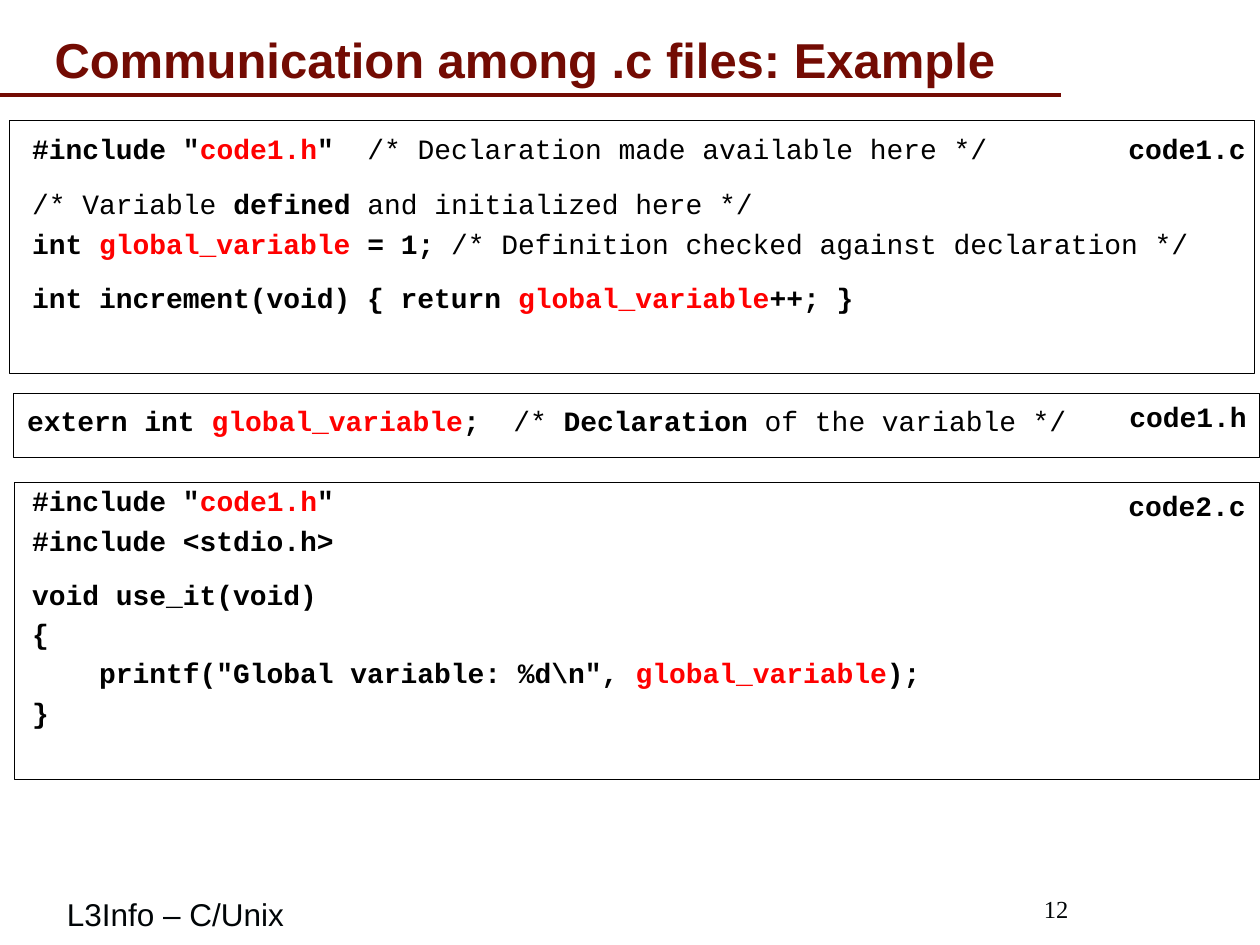
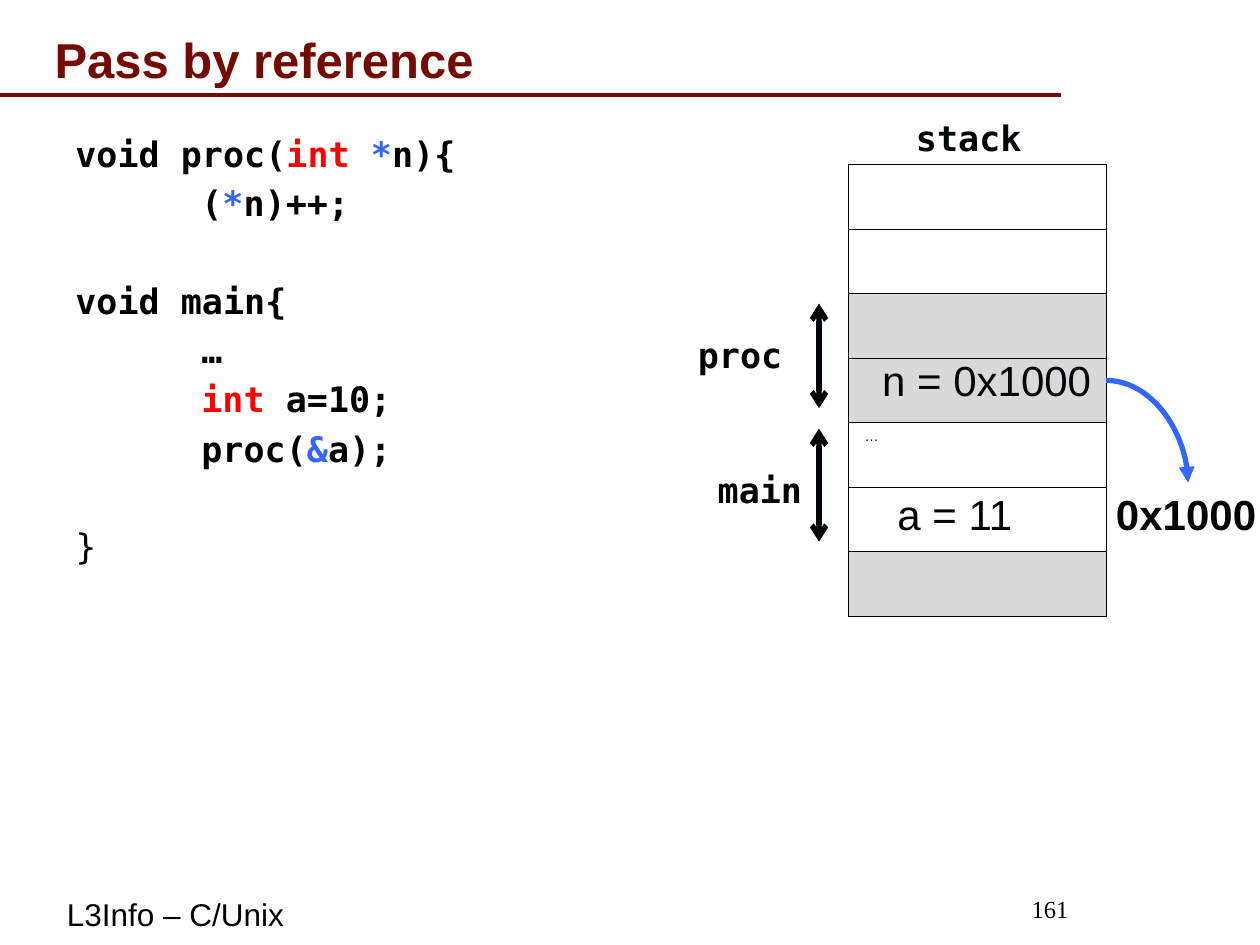
from lxml.etree import SubElement
from pptx import Presentation
from pptx.dml.color import RGBColor
from pptx.enum.shapes import MSO_CONNECTOR, MSO_SHAPE
from pptx.enum.text import MSO_ANCHOR, PP_ALIGN
from pptx.oxml.ns import qn
from pptx.util import Cm, Pt

MAROON = RGBColor(0x73, 0x0B, 0x03)
BLACK = RGBColor(0, 0, 0)
INK = RGBColor(0x01, 0x05, 0x07)
RED = RGBColor(0xFF, 0, 0)
BLUE = RGBColor(0x33, 0x66, 0xFF)
WHITE = RGBColor(0xFF, 0xFF, 0xFF)
GREY = RGBColor(0xD9, 0xD9, 0xD9)

SANS, SERIF = "Arial", "Times New Roman"
COURIER, DEJAVU = "Courier New", "DejaVu Sans Mono"

# Span styles: colour and bold
CODE = (BLACK, True)
NOTE = (BLACK, False)
HOT = (RED, True)
POINTER = (BLUE, True)


def text_frame(page, box, anchor=MSO_ANCHOR.TOP, label=False):
    """A label keeps to one line and has no side margins."""
    frame = page.shapes.add_textbox(*map(Cm, box)).text_frame
    frame.word_wrap = not label
    frame.vertical_anchor = anchor
    if label:
        frame.margin_left = frame.margin_right = 0
    return frame


def set_font(para, name, size, color, bold=False):
    font = para.font
    font.name, font.size, font.bold = name, Pt(size), bold
    font.color.rgb = color


def add_text(page, box, text, name, size, color, bold=False,
             align=PP_ALIGN.LEFT, anchor=MSO_ANCHOR.TOP, label=False):
    para = text_frame(page, box, anchor, label).paragraphs[0]
    para.text = text
    para.alignment = align
    set_font(para, name, size, color, bold)


def add_code(page, box, lines, name, size):
    """Each line is (space before in points, indent in cm, spans)."""
    frame = text_frame(page, box)
    for number, (gap, indent, spans) in enumerate(lines):
        para = frame.add_paragraph() if number else frame.paragraphs[0]
        para.space_before = Pt(gap)
        if indent:
            para._p.get_or_add_pPr().set("marL", str(Cm(indent)))
        base = spans[0][1]
        set_font(para, name, size, *base)
        for text, style in spans:
            span = para.add_run()
            span.text = text
            if style != base:
                span.font.color.rgb, span.font.bold = style


def add_line(page, start, end, color, width, kind=MSO_CONNECTOR.STRAIGHT,
             head=None, tail=None):
    line = page.shapes.add_connector(kind, *map(Cm, (*start, *end)))
    line.line.color.rgb = color
    line.line.width = Pt(width)
    properties = line._element.spPr
    outline = properties.find(qn("a:ln"))
    for tag, arrow in (("a:headEnd", head), ("a:tailEnd", tail)):
        if arrow:
            SubElement(outline, qn(tag), type=arrow)
    SubElement(properties, qn("a:effectLst"))
    return line


def new_page(deck, title, number):
    page = deck.slides.add_slide(deck.slide_layouts[6])
    add_line(page, (0, 1.91), (21.39, 1.91), MAROON, 2.25)
    add_text(page, (0.85, 0.43, 23.65, 1.47), title, SANS, 28, MAROON, True,
             anchor=MSO_ANCHOR.BOTTOM)
    add_text(page, (1.1, 17.78, 15.6, 1.27), "L3Info – C/Unix", SANS, 18, INK,
             anchor=MSO_ANCHOR.MIDDLE)
    add_text(page, (17.6, 17.78, 4.19, 1.07), number, SERIF, 14, INK,
             align=PP_ALIGN.RIGHT, anchor=MSO_ANCHOR.MIDDLE)
    return page


def code_panel(page, box, file_name, lines, text_offset, label_offset):
    left, top, width, height = box
    frame = page.shapes.add_shape(MSO_SHAPE.RECTANGLE, *map(Cm, box))
    frame.shadow.inherit = False
    frame.fill.background()
    frame.line.color.rgb = BLACK
    frame.line.width = Pt(0.5)
    across, down = text_offset
    add_code(page, (left + across, top + down, width - across, height - down),
             lines, COURIER, 16)
    across, down = label_offset
    add_text(page, (left + across, top + down, 2.5, 0.94), file_name,
             COURIER, 16, BLACK, True, label=True)


def communication_slide(deck):
    page = new_page(deck, "Communication among .c files: Example", "12")
    step, wide = 3.3, 11.6
    include = (0, 0, [('#include "', CODE), ("code1.h", HOT), ('"', CODE)])
    code_panel(page, (0.2, 2.43, 25.1, 5.11), "code1.c", [
        (0, 0, [*include[2], ("  /* Declaration made available here */", NOTE)]),
        (12.7, 0, [("/* Variable ", NOTE), ("defined", CODE),
                   (" and initialized here */", NOTE)]),
        (step, 0, [("int ", CODE), ("global_variable", HOT), (" = 1; ", CODE),
                   ("/* Definition checked against declaration */", NOTE)]),
        (wide, 0, [("int increment(void) { return ", CODE),
                   ("global_variable", HOT), ("++; }", CODE)]),
    ], (0.2, 0.09), (22.55, 0.09))
    code_panel(page, (0.27, 7.93, 25.13, 1.3), "code1.h", [
        (0, 0, [("extern int ", CODE), ("global_variable", HOT), (";  ", CODE),
                ("/* ", NOTE), ("Declaration", CODE),
                (" of the variable */", NOTE)]),
    ], (0.03, 0.08), (22.5, 0))
    code_panel(page, (0.3, 9.73, 25.1, 5.99), "code2.c", [
        include,
        (step, 0, [("#include <stdio.h>", CODE)]),
        (wide, 0, [("void use_it(void)", CODE)]),
        (step, 0, [("{", CODE)]),
        (step, 0, [('    printf("Global variable: %d\\n", ', CODE),
                   ("global_variable", HOT), (");", CODE)]),
        (step, 0, [("}", CODE)]),
    ], (0.1, -0.1), (22.45, 0))


def paint_cell(cell, color):
    cell.fill.solid()
    cell.fill.fore_color.rgb = color
    properties = cell._tc.get_or_add_tcPr()
    for place, side in enumerate(("a:lnL", "a:lnR", "a:lnT", "a:lnB")):
        border = SubElement(properties, qn(side), w=str(Pt(0.75)))
        fill = SubElement(border, qn("a:solidFill"))
        SubElement(fill, qn("a:srgbClr"), val=str(BLACK))
        properties.insert(place, border)


def stack_diagram(page, box):
    left, top, width, height = box
    fills = [WHITE, WHITE, GREY, GREY, WHITE, WHITE, GREY]
    table = page.shapes.add_table(len(fills), 1, *map(Cm, box)).table
    table.first_row = table.horz_banding = False
    for row, color in enumerate(fills):
        table.rows[row].height = Cm(height / len(fills))
        paint_cell(table.cell(row, 0), color)
    dots = table.cell(4, 0)
    dots.margin_left = Cm(0.33)
    dots.text = "…"
    set_font(dots.text_frame.paragraphs[0], SANS, 8, BLACK)

    labels = [
        ("stack", 1.11, -1.09, 2.64, DEJAVU, 20, True),
        ("proc", -3.3, 3.28, 2.24, DEJAVU, 20, True),
        ("main", -2.9, 6, 2.24, DEJAVU, 20, True),
        ("n = 0x1000", 0.4, 3.71, 4.78, SANS, 24, False),
        ("a = 11", 0.73, 6.4, 2.84, SANS, 24, False),
        ("0x1000", 5.32, 6.4, 2.98, SANS, 24, True),
    ]
    for text, across, down, span, name, size, bold in labels:
        add_text(page, (left + across, top + down, span, 1.2), text, name,
                 size, INK, bold, PP_ALIGN.CENTER, label=True)

    for first, last in ((2.8, 4.91), (5.32, 7.6)):
        add_line(page, (left - 0.59, top + first), (left - 0.59, top + last),
                 INK, 3, head="arrow", tail="arrow")
    reference = add_line(page, (left + width, top + 4.35),
                         (left + width + 1.65, top + 6.41), BLUE, 3,
                         MSO_CONNECTOR.CURVE, tail="triangle")
    geometry = reference._element.spPr.find(qn("a:prstGeom"))
    geometry.set("prst", "curvedConnector2")


def reference_slide(deck):
    page = new_page(deck, "Pass by reference", "161")
    step, skip, tab = 4.2, 31.8, 2.54
    add_code(page, (1.27, 2.54, 13.8, 8.5), [
        (0, 0, [("void proc(", CODE), ("int ", HOT), ("*", POINTER),
                ("n){", CODE)]),
        (step, tab, [("(", CODE), ("*", POINTER), ("n)++;", CODE)]),
        (skip, 0, [("void main{", CODE)]),
        (step, tab, [("…", CODE)]),
        (step, tab, [("int ", HOT), ("a=10;", CODE)]),
        (step, tab, [("proc(", CODE), ("&", POINTER), ("a);", CODE)]),
        (skip, 0, [("}", NOTE)]),
    ], DEJAVU, 20)
    stack_diagram(page, (17.1, 3.32, 5.2, 9.1))


def main():
    deck = Presentation()
    deck.slide_width, deck.slide_height = Cm(25.4), Cm(19.05)
    communication_slide(deck)
    reference_slide(deck)
    deck.save("out.pptx")


if __name__ == "__main__":
    main()
